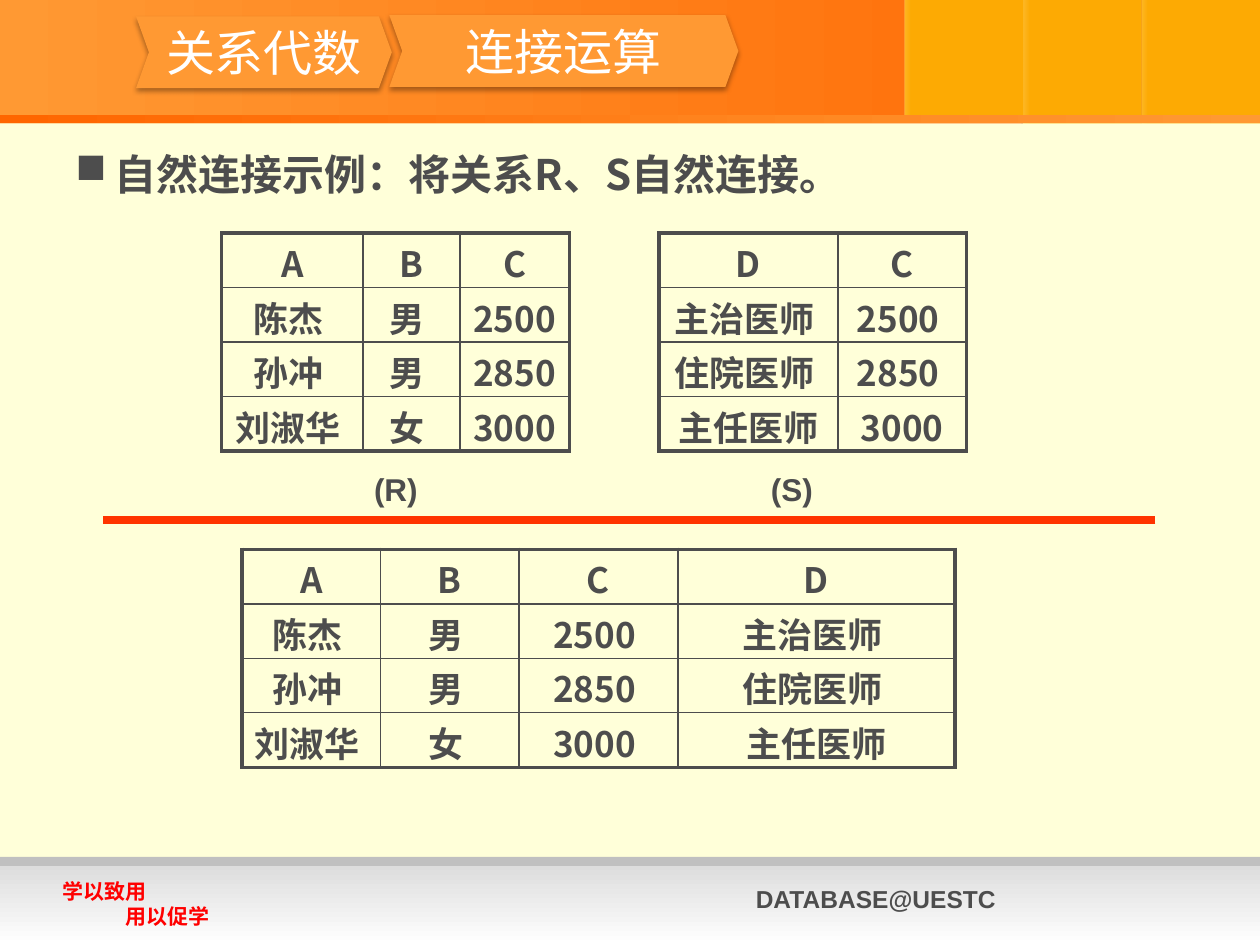
from lxml import etree
from pptx import Presentation
from pptx.dml.color import RGBColor
from pptx.enum.shapes import MSO_CONNECTOR, MSO_SHAPE
from pptx.enum.text import MSO_ANCHOR, PP_ALIGN
from pptx.oxml import parse_xml
from pptx.oxml.ns import nsdecls, qn
from pptx.util import Inches, Pt

RECT, CHEVRON = MSO_SHAPE.RECTANGLE, MSO_SHAPE.CHEVRON
LEFT, CENTER = PP_ALIGN.LEFT, PP_ALIGN.CENTER
TOP, MIDDLE = MSO_ANCHOR.TOP, MSO_ANCHOR.MIDDLE
SANS, HAN = "Arial", "Noto Sans CJK SC"

COLORS = {
    "cream": "FFFFD9", "orange": "FF9933", "deep": "FF6600", "amber": "FDAA03",
    "rust": "D25500", "brown": "612700", "silver": "C0C0C0", "pale": "DDDDDD",
    "white": "FFFFFF", "ink": "4D4D4D", "red": "FF0000", "rule": "FF3300",
}

# Content
HEADING = "自然连接示例：将关系R、S自然连接。"
CRUMBS = [("关系代数", 1.08, 0.13, 2.03), ("连接运算", 3.09, 0.12, 2.77)]
MOTTO = ["学以致用", "\t用以促学"]
SCHOOL = "DATABASE@UESTC"
LABELS = [("(R)", 2.87), ("(S)", 6.02)]
TABLES = [
    (1.92, 4.36, [1.1, 1.1, 1.26, 2.2], [
        ["A", "B", "C", "D"],
        ["陈杰 ", "男 ", "2500 ", "主治医师 "],
        ["孙冲 ", "男 ", "2850 ", "住院医师 "],
        ["刘淑华 ", "女 ", "3000 ", "主任医师"]]),
    (1.76, 1.85, [1.12, 0.77, 0.87], [
        ["A", "B", "C"],
        ["陈杰 ", "男 ", "2500 "],
        ["孙冲 ", "男 ", "2850 "],
        ["刘淑华 ", "女 ", "3000 "]]),
    (5.23, 1.85, [1.42, 1.02], [
        ["D", "C"],
        ["主治医师 ", "2500 "],
        ["住院医师 ", "2850 "],
        ["主任医师", "3000"]]),
]
TABLE_H = 1.73
THICK, THIN = 2.25, 1

deck = Presentation()
deck.slide_width, deck.slide_height = Inches(10), Inches(7.5)
slide = deck.slides.add_slide(deck.slide_layouts[6])
shapes = slide.shapes


def rgb(name):
    return RGBColor.from_string(COLORS[name])


def write(frame, lines, size=20, font=HAN, color="ink", bold=True,
          align=LEFT, anchor=TOP, bullet=None):
    frame.word_wrap = True
    frame.vertical_anchor = anchor
    for i, line in enumerate(lines):
        para = frame.paragraphs[0] if i == 0 else frame.add_paragraph()
        para.alignment = align
        if bullet:
            props = para._p.get_or_add_pPr()
            props.set("marL", str(Inches(0.81)))
            props.set("indent", str(Inches(-0.31)))
            etree.SubElement(props, qn("a:buChar")).set("char", bullet)
        run = para.add_run()
        run.text = line
        run.font.size, run.font.bold, run.font.name = Pt(size), bold, font
        run.font.color.rgb = rgb(color)
        if font == HAN:
            face = etree.SubElement(run.font._element, qn("a:ea"))
            face.set("typeface", font)


def text(x, y, w, h, lines, **look):
    write(shapes.add_textbox(*map(Inches, (x, y, w, h))).text_frame, lines, **look)


def block(x, y, w, h, *fill, kind=RECT, angle=0, alphas=()):
    shape = shapes.add_shape(kind, *map(Inches, (x, y, w, h)))
    shape.shadow.inherit = False
    shape.line.fill.background()
    if len(fill) == 1:
        shape.fill.solid()
        shape.fill.fore_color.rgb = rgb(fill[0])
        return shape
    shape.fill.gradient()
    shape.fill.gradient_angle = angle
    for stop, name in zip(shape.fill.gradient_stops, fill):
        stop.color.rgb = rgb(name)
    tints = shape._element.spPr.iter(qn("a:srgbClr"))
    for tint, alpha in zip(list(tints), alphas):
        etree.SubElement(tint, qn("a:alpha")).set("val", str(alpha * 1000))
    return shape


def border(cell, sides):
    props = cell._tc.get_or_add_tcPr()
    for side, width in sides.items():
        props.append(parse_xml(
            f'<a:ln{side} {nsdecls("a")} w="{Pt(width)}"><a:solidFill>'
            f'<a:srgbClr val="{COLORS["ink"]}"/></a:solidFill></a:ln{side}>'))
    cell.fill.background()


def grid(x, y, cols, rows):
    frame = shapes.add_table(len(rows), len(cols), Inches(x), Inches(y),
                             Inches(sum(cols)), Inches(TABLE_H))
    table = frame.table
    table.first_row = table.horz_banding = False
    for col, width in zip(table.columns, cols):
        col.width = Inches(width)
    for r, row in enumerate(rows):
        table.rows[r].height = Inches(TABLE_H / len(rows))
        for c, value in enumerate(row):
            cell = table.cell(r, c)
            cell.margin_top, cell.margin_bottom = Inches(0.03), 0
            write(cell.text_frame, [value], align=CENTER)
            edges = {"L": c == 0, "R": c == len(cols) - 1,
                     "T": r == 0, "B": r == len(rows) - 1}
            border(cell, {k: THICK if outer else THIN for k, outer in edges.items()})


# Background and header band
slide.background.fill.solid()
slide.background.fill.fore_color.rgb = rgb("cream")
block(0, 0, 10, 0.99, "orange", "deep")
for x, h in [(9.06, 0.99), (8.12, 0.99), (7.18, 0.92)]:
    if x > 8:
        block(x - 0.01, 0, 0.94, h, "rust", "brown", alphas=(80, 0))
    block(x, 0, 0.94, h, "amber")
    block(x, 0, 0.05, h, "cream", "amber", alphas=(18, 15))
block(0, 0.91, 10, 0.07, "deep", "orange")
block(0, 0.98, 10, 0.61, "cream")

# Footer
block(0, 6.8, 10, 0.29, "silver")
block(0, 6.87, 10, 0.63, "pale", "white", angle=270)
text(5.9, 6.97, 3.45, 0.34, [SCHOOL], size=14, font=SANS)
text(0.4, 6.92, 2, 0.5, MOTTO, size=12, font=SANS, color="red")

# Heading and breadcrumb chevrons
text(0, 1.13, 9.78, 5.46, [HEADING], size=24, bullet="■")
for name, x, y, w in CRUMBS:
    crumb = block(x, y, w, 0.57, "orange", kind=CHEVRON)
    crumb.adjustments[0] = 0.18
    crumb._element.spPr.find(qn("a:effectLst")).append(parse_xml(
        f'<a:outerShdw {nsdecls("a")} blurRad="{Pt(3.1)}" dist="{Pt(1.8)}" '
        'dir="5400000" rotWithShape="0"><a:srgbClr val="000000">'
        '<a:alpha val="35000"/></a:srgbClr></a:outerShdw>'))
    write(crumb.text_frame, [name], size=28, color="white", bold=False,
          align=CENTER, anchor=MIDDLE)

# Tables, divider and labels
for spot in TABLES:
    grid(*spot)
rule = shapes.add_connector(MSO_CONNECTOR.STRAIGHT, Inches(9.17), Inches(4.13),
                            Inches(0.82), Inches(4.13))
rule.line.color.rgb, rule.line.width = rgb("rule"), Pt(4.5)
etree.SubElement(rule._element.spPr, qn("a:effectLst"))
for name, x in LABELS:
    text(x, 3.68, 0.71, 0.4, [name], size=18, font=SANS)

deck.save("out.pptx")
